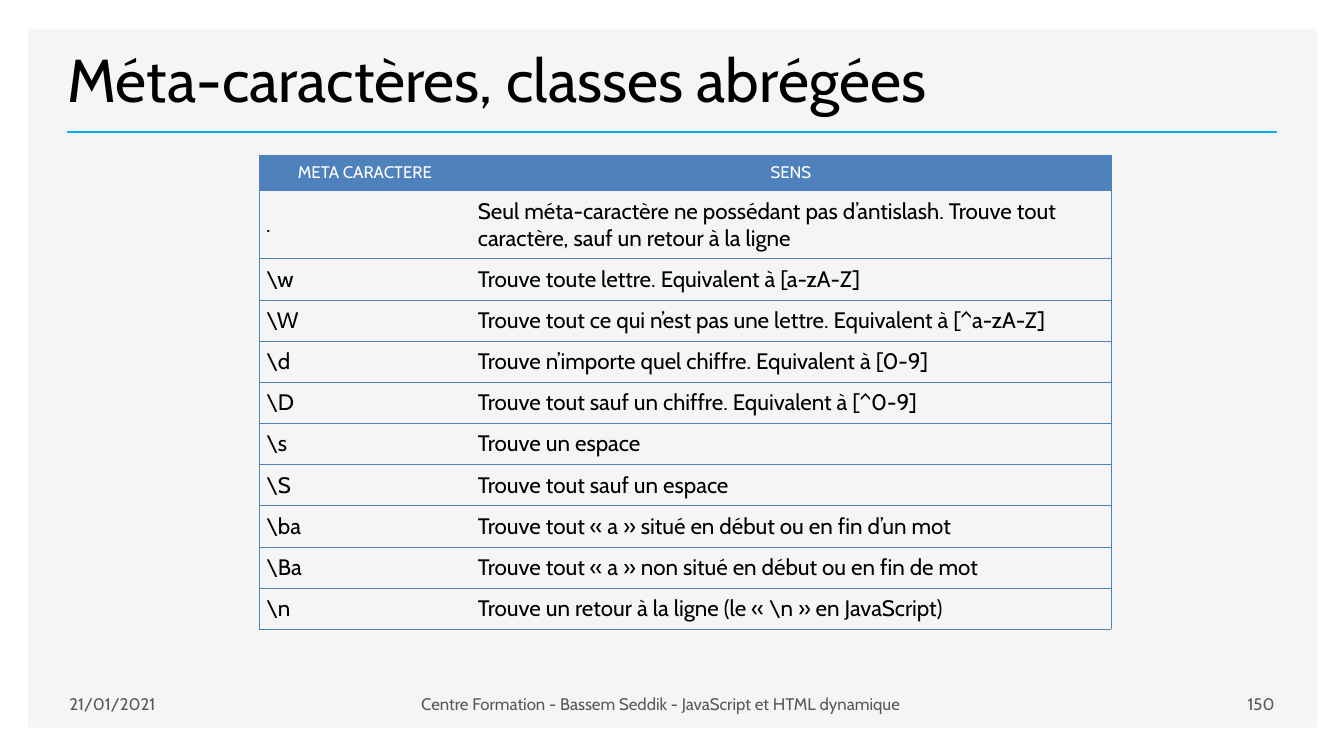
from lxml import etree
from pptx import Presentation
from pptx.dml.color import RGBColor
from pptx.enum.shapes import MSO_CONNECTOR, MSO_SHAPE
from pptx.enum.text import MSO_ANCHOR, PP_ALIGN
from pptx.oxml.ns import qn
from pptx.util import Inches, Pt

TITLE = "Méta-caractères, classes abrégées"
HEADER = ("META CARACTERE", "SENS")
ROWS = [
    (".", "Seul méta-caractère ne possédant pas d’antislash. Trouve tout "
          "caractère, sauf un retour à la ligne"),
    (r"\w", "Trouve toute lettre. Equivalent à [a-zA-Z]"),
    (r"\W", "Trouve tout ce qui n’est pas une lettre. Equivalent à [^a-zA-Z]"),
    (r"\d", "Trouve n’importe quel chiffre. Equivalent à [0-9]"),
    (r"\D", "Trouve tout sauf un chiffre. Equivalent à [^0-9]"),
    (r"\s", "Trouve un espace"),
    (r"\S", "Trouve tout sauf un espace"),
    (r"\ba", "Trouve tout « a » situé en début ou en fin d’un mot"),
    (r"\Ba", "Trouve tout « a » non situé en début ou en fin de mot"),
    (r"\n", r"Trouve un retour à la ligne (le « \n » en JavaScript)"),
]
# text, left, width, alignment
FOOTER = [
    ("21/01/2021", 0.59, 1.68, PP_ALIGN.LEFT),
    ("Centre Formation - Bassem Seddik - JavaScript et HTML dynamique",
     2.27, 8.57, PP_ALIGN.CENTER),
    ("150", 10.84, 1.9, PP_ALIGN.RIGHT),
]
COL_WIDTHS = (2.1, 6.35)
ROW_HEIGHTS = [0.35, 0.67] + [0.4] * (len(ROWS) - 1)

FONT = "Cabin"
BLACK = RGBColor(0x00, 0x00, 0x00)
WHITE = RGBColor(0xFF, 0xFF, 0xFF)
PANEL = RGBColor(0xF5, 0xF5, 0xF5)
CYAN = RGBColor(0x00, 0xB0, 0xF0)
BLUE = RGBColor(0x4F, 0x81, 0xBD)
GREY = RGBColor(0x59, 0x59, 0x59)


def set_text(tf, text, size, color, align=PP_ALIGN.LEFT):
    p = tf.paragraphs[0]
    p.text = text
    p.alignment = align
    p.font.name, p.font.size, p.font.bold = FONT, Pt(size), False
    p.font.color.rgb = color


def set_borders(cell, sides):
    """Draw the named sides of a cell and clear the others."""
    tcPr = cell._tc.get_or_add_tcPr()
    for i, side in enumerate("LRTB"):
        ln = etree.Element(qn("a:ln" + side), w=str(Pt(0.5)))
        if side in sides:
            fill = etree.SubElement(ln, qn("a:solidFill"))
            etree.SubElement(fill, qn("a:srgbClr"), val=str(BLUE))
        else:
            etree.SubElement(ln, qn("a:noFill"))
        tcPr.insert(i, ln)


prs = Presentation()
prs.slide_width, prs.slide_height = Inches(13.33), Inches(7.5)
s = prs.slides.add_slide(prs.slide_layouts[5])

# Background panel, placed behind the title
panel = s.shapes.add_shape(MSO_SHAPE.RECTANGLE, Inches(0.28), Inches(0.29),
                           Inches(12.78), Inches(6.93))
panel.shadow.inherit = False
panel.fill.solid()
panel.fill.fore_color.rgb = PANEL
panel.line.fill.background()
s.shapes._spTree.insert(2, panel._element)

# Title and rule
title = s.shapes.title
title.left, title.top = Inches(0.57), Inches(0.49)
title.width, title.height = Inches(12.01), Inches(0.7)
title.text_frame.vertical_anchor = MSO_ANCHOR.BOTTOM
set_text(title.text_frame, TITLE, 43.2, BLACK)

rule = s.shapes.add_connector(MSO_CONNECTOR.STRAIGHT, Inches(0.66), Inches(1.31),
                              Inches(12.67), Inches(1.31))
rule.line.color.rgb = CYAN
rule.line.width = Pt(2)
etree.SubElement(rule._element.spPr, qn("a:effectLst"))

# Table
table = s.shapes.add_table(len(ROWS) + 1, len(HEADER), Inches(2.57), Inches(1.54),
                           Inches(sum(COL_WIDTHS)), Inches(sum(ROW_HEIGHTS))).table
table.horz_banding = False
for col, width in zip(table.columns, COL_WIDTHS):
    col.width = Inches(width)
for r, (row, height) in enumerate(zip([HEADER] + ROWS, ROW_HEIGHTS)):
    table.rows[r].height = Inches(height)
    for c, content in enumerate(row):
        cell = table.cell(r, c)
        cell.vertical_anchor = MSO_ANCHOR.MIDDLE
        cell.margin_left = cell.margin_right = Inches(0.07)
        cell.margin_top = cell.margin_bottom = Inches(0.07)
        if r == 0:
            cell.fill.solid()
            cell.fill.fore_color.rgb = BLUE
            set_text(cell.text_frame, content, 12, WHITE, PP_ALIGN.CENTER)
        else:
            cell.fill.background()
            set_text(cell.text_frame, content, 16, BLACK)
        set_borders(cell, "TB" + "LR"[c])

# Footer
for content, left, width, align in FOOTER:
    tf = s.shapes.add_textbox(Inches(left), Inches(6.78),
                              Inches(width), Inches(0.4)).text_frame
    tf.word_wrap = True
    tf.vertical_anchor = MSO_ANCHOR.MIDDLE
    set_text(tf, content, 12, GREY, align)

prs.save("out.pptx")
